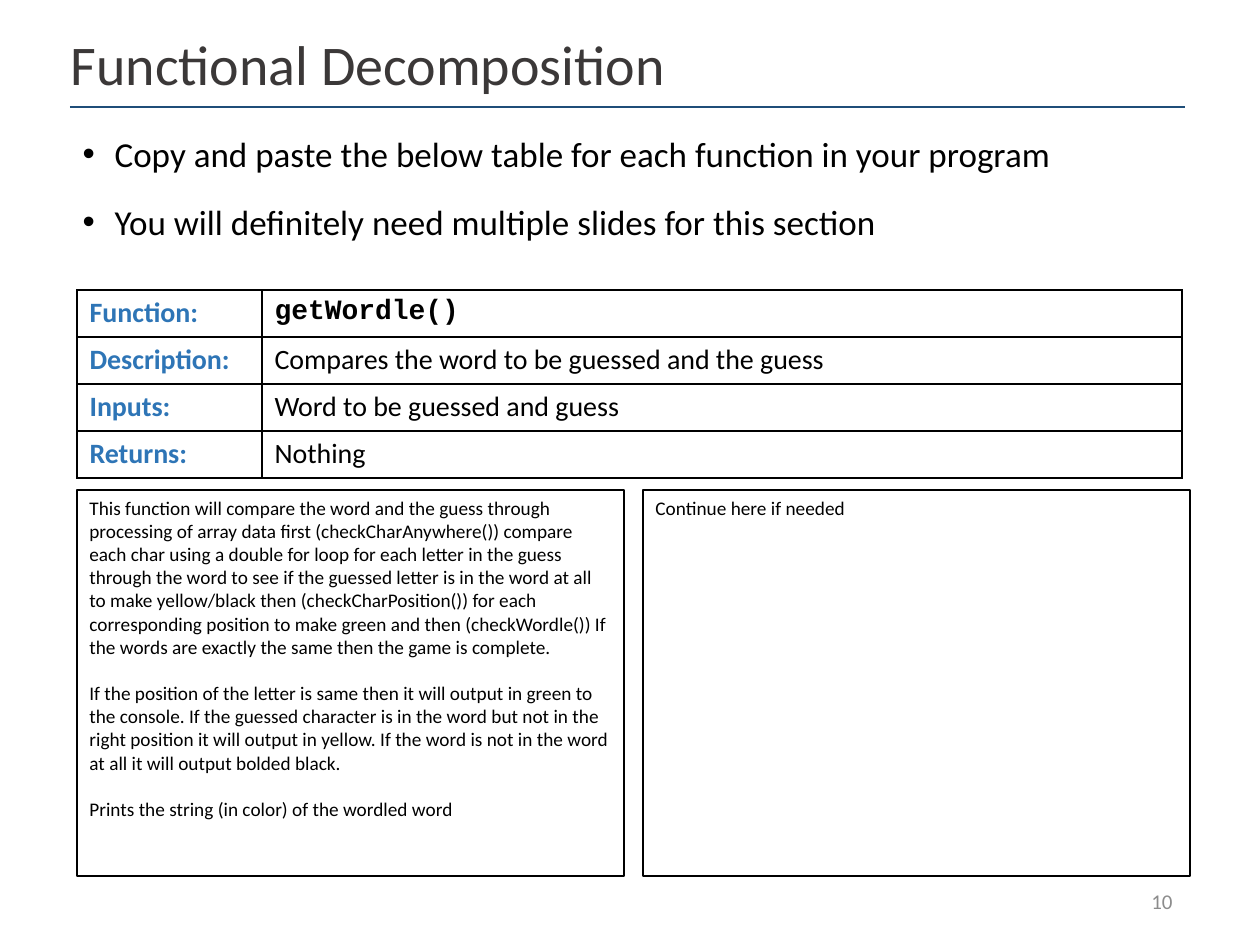
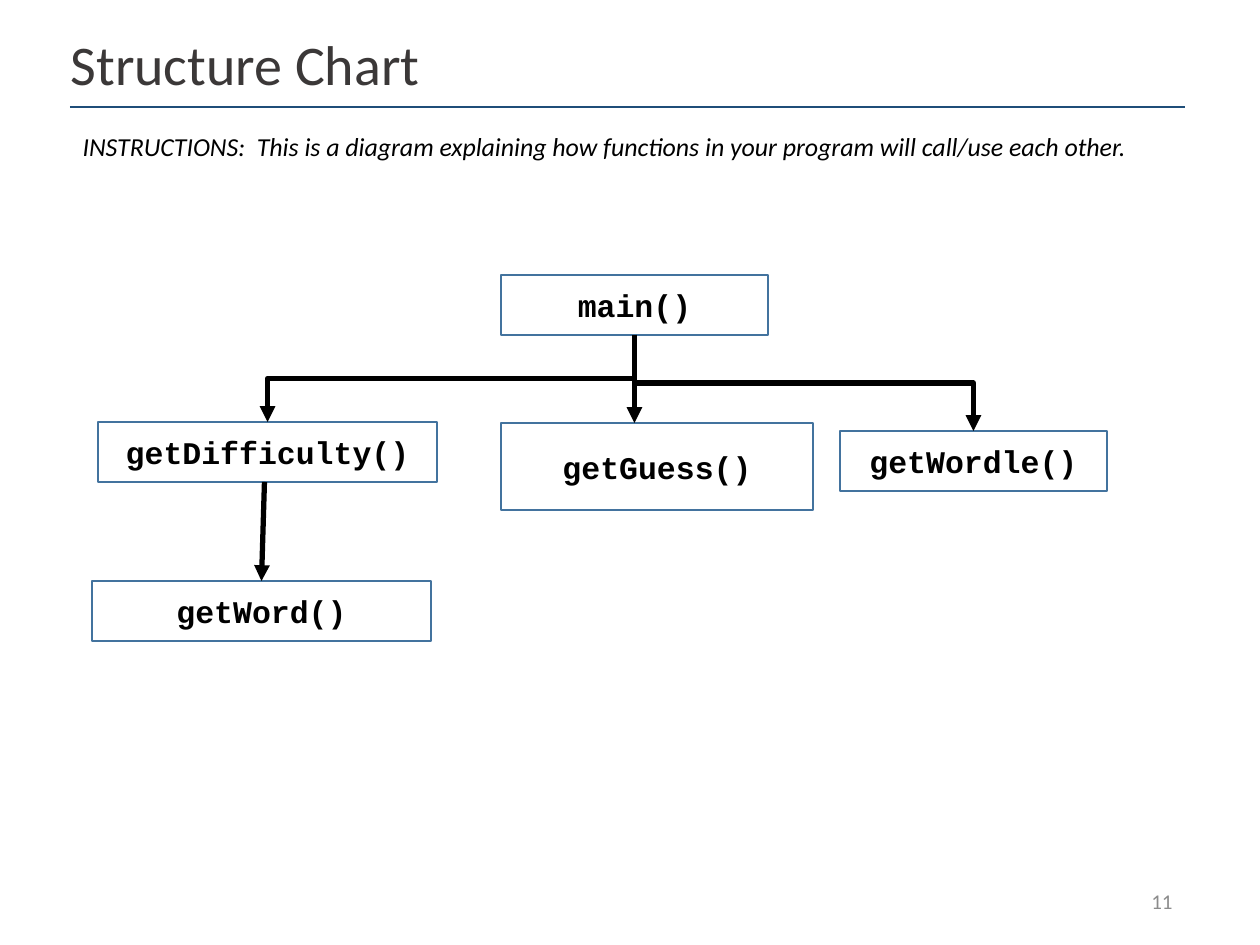
from lxml import etree
from pptx import Presentation
from pptx.dml.color import RGBColor
from pptx.enum.shapes import MSO_CONNECTOR, MSO_SHAPE
from pptx.enum.text import MSO_ANCHOR, MSO_AUTO_SIZE, PP_ALIGN
from pptx.oxml.ns import qn
from pptx.util import Pt

STRAIGHT, ELBOW = MSO_CONNECTOR.STRAIGHT, MSO_CONNECTOR.ELBOW
RECTANGLE = MSO_SHAPE.RECTANGLE
TOP, MIDDLE = MSO_ANCHOR.TOP, MSO_ANCHOR.MIDDLE
LEFT, CENTER, RIGHT = PP_ALIGN.LEFT, PP_ALIGN.CENTER, PP_ALIGN.RIGHT
NO_AUTOFIT = MSO_AUTO_SIZE.NONE

EMU_PER_PX = 914400 / 126
SLIDE_SIZE = (1260, 945)
BODY_FONT, CODE_FONT = "Calibri", "Courier New"
BLACK, TITLE_GREY, NUMBER_GREY = "000000", "3B3838", "8C8C8C"
RULE_BLUE, LABEL_BLUE, BOX_BLUE = "1F4E79", "2E75B6", "43739E"
TOP_SITE, BOTTOM_SITE = 0, 2  # connection sites of a rectangle

FUNCTION_ROWS = [
    ("Function:", "getWordle()"),
    ("Description:", "Compares the word to be guessed and the guess"),
    ("Inputs:", "Word to be guessed and guess"),
    ("Returns:", "Nothing"),
]
ALGORITHM = [
    "This function will compare the word and the guess through processing of array data first "
    "(checkCharAnywhere()) compare each char using a double for loop for each letter in the guess "
    "through the word to see if the guessed letter is in the word at all to make yellow/black then "
    "(checkCharPosition()) for each corresponding position to make green and then (checkWordle()) "
    "If the words are exactly the same then the game is complete.",
    "If the position of the letter is same then it will output in green to the console. If the "
    "guessed character is in the word but not in the right position it will output in yellow. If "
    "the word is not in the word at all it will output bolded black.",
    "Prints the string (in color) of the wordled word",
]
# Function boxes of the structure chart: left, top, width, height inside the chart
CALL_BOXES = {
    "main()": (409, 0, 267, 60),
    "getDifficulty()": (6, 147, 339, 60),
    "getGuess()": (409, 148, 312, 87),
    "getWordle()": (748, 156, 267, 60),
    "getWord()": (0, 306, 339, 60),
}


def px(length):
    return round(length * EMU_PER_PX)


def px_all(lengths):
    return [px(length) for length in lengths]


def rgb(color):
    return RGBColor.from_string(color)


def place(shape, box):
    shape.left, shape.top, shape.width, shape.height = px_all(box)


def set_line(target, color, width):
    target.line.color.rgb = rgb(color)
    target.line.width = Pt(width)


def set_font(paragraph, size, color=BLACK, name=BODY_FONT, bold=False, italic=False):
    font = paragraph.font
    font.name, font.size, font.bold, font.italic = name, Pt(size), bold, italic
    font.color.rgb = rgb(color)


def add_line(slide, kind, start, end, color, width):
    """Add a shadowless connector between two points in EMU."""
    line = slide.shapes.add_connector(kind, *start, *end)
    set_line(line, color, width)
    etree.SubElement(line._element.spPr, qn("a:effectLst"))
    return line


def add_outlined_box(slide, box, color, width, anchor):
    outlined = slide.shapes.add_shape(RECTANGLE, *px_all(box))
    outlined.shadow.inherit = False
    outlined.fill.background()
    set_line(outlined, color, width)
    outlined.text_frame.word_wrap = True
    outlined.text_frame.vertical_anchor = anchor
    return outlined


def add_base_slide(prs, heading, number):
    """Add a slide with the shared title, rule and page number."""
    slide = prs.slides.add_slide(prs.slide_layouts[1])
    add_line(slide, STRAIGHT, px_all((70, 107)), px_all((1185, 107)), RULE_BLUE, 1)

    title = slide.shapes.title
    place(title, (58, 29, 1128, 77))
    title.text_frame.text = heading
    title.text_frame.auto_size = NO_AUTOFIT
    title.text_frame.vertical_anchor = MIDDLE
    paragraph = title.text_frame.paragraphs[0]
    paragraph.alignment, paragraph.line_spacing = LEFT, 0.9
    set_font(paragraph, 32, TITLE_GREY)

    page = slide.shapes.add_textbox(*px_all((901, 876, 284, 50))).text_frame
    page.word_wrap = True
    page.vertical_anchor = MIDDLE
    page.text = str(number)
    page.paragraphs[0].alignment = RIGHT
    set_font(page.paragraphs[0], 12, NUMBER_GREY)
    return slide


def fill_body(slide, box, lines, size, bulleted=True, italic=False):
    body = slide.placeholders[1]
    place(body, box)
    body.text_frame.text = "\n".join(lines)
    body.text_frame.auto_size = NO_AUTOFIT
    hanging = px(32) if bulleted else 0
    for paragraph in body.text_frame.paragraphs:
        paragraph.line_spacing, paragraph.space_before = 1.2, Pt(10)
        properties = paragraph._p.get_or_add_pPr()
        properties.set("marL", str(hanging))
        properties.set("indent", str(-hanging))
        if bulleted:
            etree.SubElement(properties, qn("a:buChar"), char="•")
        else:
            etree.SubElement(properties, qn("a:buNone"))
        set_font(paragraph, size, italic=italic)


def set_cell_borders(cell):
    properties = cell._tc.get_or_add_tcPr()
    for position, side in enumerate(("lnL", "lnR", "lnT", "lnB")):
        border = etree.Element(qn(f"a:{side}"), w=str(Pt(1)))
        fill = etree.SubElement(border, qn("a:solidFill"))
        etree.SubElement(fill, qn("a:srgbClr"), val=BLACK)
        properties.insert(position, border)


def add_function_table(slide, box):
    row_count = len(FUNCTION_ROWS)
    table = slide.shapes.add_table(row_count, 2, *px_all(box)).table
    table.first_row = table.horz_banding = False
    label_width = 185
    table.columns[0].width = px(label_width)
    table.columns[1].width = px(box[2] - label_width)
    for row, texts in enumerate(FUNCTION_ROWS):
        table.rows[row].height = px(box[3] / row_count)
        for column, text in enumerate(texts):
            cell = table.cell(row, column)
            cell.text = text
            cell.fill.background()
            set_cell_borders(cell)
            is_label, is_code = column == 0, text.endswith("()")
            set_font(cell.text_frame.paragraphs[0], 16,
                     LABEL_BLUE if is_label else BLACK,
                     CODE_FONT if is_code else BODY_FONT,
                     bold=is_label or is_code)


def add_algorithm_columns(slide, box):
    left, top, width, height = box
    gap = 19
    column_width = (width - gap) // 2
    for index, texts in enumerate((ALGORITHM, ["Continue here if needed"])):
        column = (left + index * (column_width + gap), top, column_width, height)
        frame = add_outlined_box(slide, column, BLACK, 0.75, TOP).text_frame
        frame.text = "\n".join(texts)
        for position, paragraph in enumerate(frame.paragraphs):
            paragraph.alignment = LEFT
            paragraph.space_before = Pt(13.4 if position else 0)
            set_font(paragraph, 11)


def add_call_box(slide, box, name):
    call = add_outlined_box(slide, box, BOX_BLUE, 1, MIDDLE)
    call.text_frame.text = name
    paragraph = call.text_frame.paragraphs[0]
    paragraph.alignment = CENTER
    set_font(paragraph, 18, name=CODE_FONT, bold=True)
    return call


def bottom_of(call):
    return call.left + call.width // 2, call.top + call.height


def top_of(call):
    return call.left + call.width // 2, call.top


def add_arrow(slide, kind, start, end):
    arrow = add_line(slide, kind, start, end, BLACK, 3)
    etree.SubElement(arrow.line._get_or_add_ln(), qn("a:tailEnd"), type="triangle")
    return arrow


def add_elbow_arrow(slide, caller, callee):
    """Join two boxes by an elbow that leaves and arrives vertically."""
    (x1, y1), (x2, y2) = start, end = bottom_of(caller), top_of(callee)
    arrow = add_arrow(slide, ELBOW, start, end)
    arrow.begin_connect(caller, BOTTOM_SITE)
    arrow.end_connect(callee, TOP_SITE)
    drop, run = y2 - y1, abs(x2 - x1)
    arrow.left, arrow.top = (x1 + x2 - drop) // 2, (y1 + y2 - run) // 2
    arrow.width, arrow.height = drop, run
    rightward = x2 > x1
    transform = arrow._element.spPr.find(qn("a:xfrm"))
    transform.set("rot", str((270 if rightward else 90) * 60000))
    transform.set("flipH", str(int(rightward)))


def add_structure_chart(slide, left, top):
    calls = {name: add_call_box(slide, (left + x, top + y, width, height), name)
             for name, (x, y, width, height) in CALL_BOXES.items()}
    main_call, difficulty, guess, wordle, word = calls.values()
    for callee in (difficulty, wordle):
        add_elbow_arrow(slide, main_call, callee)

    start = bottom_of(main_call)
    to_guess = add_arrow(slide, STRAIGHT, start, (start[0], guess.top))
    to_guess.begin_connect(main_call, BOTTOM_SITE)

    x, y = bottom_of(difficulty)
    to_word = add_arrow(slide, STRAIGHT, (x - px(3), y), top_of(word))
    to_word.end_connect(word, TOP_SITE)


def add_decomposition_slide(prs):
    slide = add_base_slide(prs, "Functional Decomposition", 10)
    fill_body(slide, (70, 118, 1115, 139), [
        "Copy and paste the below table for each function in your program",
        "You will definitely need multiple slides for this section",
    ], 20)
    add_function_table(slide, (77, 290, 1105, 188))
    add_algorithm_columns(slide, (77, 490, 1113, 386))


def add_structure_slide(prs):
    slide = add_base_slide(prs, "Structure Chart", 11)
    fill_body(slide, (70, 118, 1115, 77), [
        "INSTRUCTIONS:  This is a diagram explaining how functions in your program "
        "will call/use each other.",
    ], 14.8, bulleted=False, italic=True)
    add_structure_chart(slide, 92, 275)


def main():
    prs = Presentation()
    prs.slide_width, prs.slide_height = px_all(SLIDE_SIZE)
    add_decomposition_slide(prs)
    add_structure_slide(prs)
    prs.save("out.pptx")


if __name__ == "__main__":
    main()
